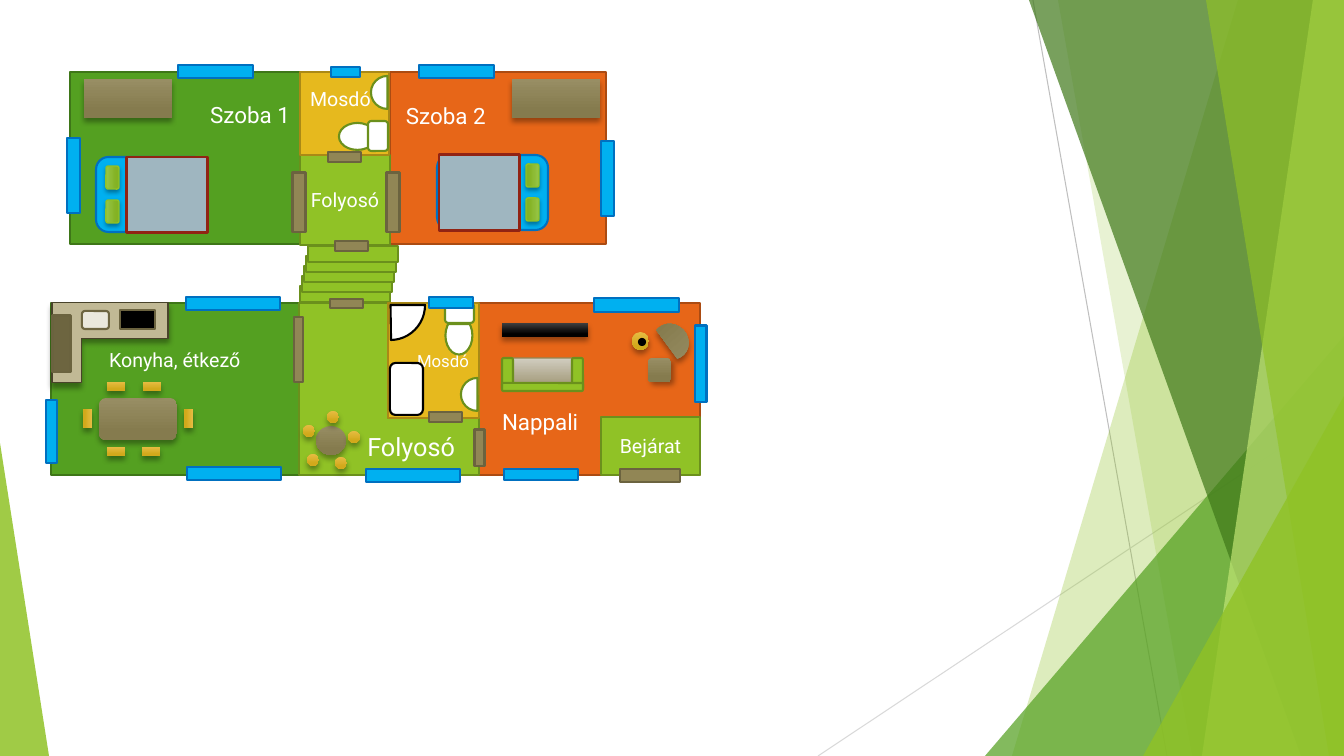
import pptx
import pptx.util
import pptx.dml.color
import pptx.enum.shapes
import pptx.enum.text
import pptx.oxml.ns
import lxml.etree

PIXEL = 12192000 / 1344
WIDTH, HEIGHT = 1344, 756
KIND = pptx.enum.shapes.MSO_SHAPE
ALIGN = pptx.enum.text.PP_ALIGN
ANCHOR = pptx.enum.text.MSO_ANCHOR
LEAF, GRASS, ORANGE, GOLD, WOOD = "90C226", "54A021", "E76618", "E6B91E", "918655"

# style: fill (colour, or top colour, bottom colour, stop), line, line width, shadow
STYLES = {
    "step": (LEAF, "6B901C", 1.5, None),
    "orange room": (ORANGE, "AB4B12", 1.5, None),
    "green room": (GRASS, "3E7618", 1.5, None),
    "hall": (LEAF, "6B901C", 1.5, None),
    "washroom": (GOLD, "AA8916", 1.5, None),
    "wood": (("988E64", "857B4E", 0.78), None, 0, (4, 3, 90)),
    "side table": (("988E64", "857B4E", 0.78), None, 0, (4, 3, 45)),
    "seat": (("E7BC43", "D2A91B", 0.78), None, 0, (4, 3, 90)),
    "screen": (("3F3F3F", "000000", 0.78), None, 0, (4, 3, 90)),
    "sofa seat": (("D1CDC0", "A19877", 0.88), WOOD, 1, None),
    "sofa frame": (LEAF, "6B901C", 1.5, None),
    "lamp hole": ("000000", "000000", 1.5, None),
    "counter": ("C1B995", "48432A", 0.75, (4, 3, 90)),
    "fridge": ("6D6540", "6B633F", 1.5, None),
    "basin": ("EAE8DC", "6D6540", 1.5, None),
    "stove": ("000000", "6B633F", 1.5, None),
    "ceramic": ("FFFFFF", "6B901C", 1.5, None),
    "bath": ("FFFFFF", "000000", 1.5, None),
    "bed": ("00B0F0", "0070C0", 1.5, None),
    "cover": ("9FB6C0", "912313", 1.5, None),
    "pillow": (("97C547", "84B223", 0.78), LEAF, 1, (3, 2, 90)),
    "door": (WOOD, "6B633F", 1.5, None),
    "window": ("00B0F0", "0070C0", 1.5, None),
}


def color(text):
    return pptx.dml.color.RGBColor.from_string(text)


def place(style, kind, left, top, width, height, turn=0, adjust=()):
    """Add one styled preset shape, measured in pixels."""
    fill, line, weight, shadow = STYLES[style]
    box = page.shapes.add_shape(kind, *(round(n * PIXEL) for n in (left, top, width, height)))
    box.rotation = turn
    box.shadow.inherit = False
    for index, value in enumerate(adjust):
        box.adjustments[index] = value
    if isinstance(fill, str):
        box.fill.solid()
        box.fill.fore_color.rgb = color(fill)
    else:
        box.fill.gradient()
        box.fill.gradient_angle = 270
        for stop, shade, position in zip(box.fill.gradient_stops, fill, (0, fill[2])):
            stop.color.rgb = color(shade)
            stop.position = position
    if line:
        box.line.color.rgb = color(line)
        box.line.width = pptx.util.Pt(weight)
    else:
        box.line.fill.background()
    if shadow:
        blur, distance, angle = shadow
        effects = box._element.spPr.find(pptx.oxml.ns.qn("a:effectLst"))
        cast = lxml.etree.SubElement(
            effects, pptx.oxml.ns.qn("a:outerShdw"), blurRad=str(blur * 12700),
            dist=str(distance * 12700), dir=str(angle * 60000), rotWithShape="0")
        black = lxml.etree.SubElement(cast, pptx.oxml.ns.qn("a:srgbClr"), val="000000")
        lxml.etree.SubElement(black, pptx.oxml.ns.qn("a:alpha"), val="35000")
    return box


deck = pptx.Presentation()
deck.slide_width = round(WIDTH * PIXEL)
deck.slide_height = round(HEIGHT * PIXEL)
page = deck.slides.add_slide(deck.slide_layouts[6])

# Thin background lines
for ends, shade in (((1033, 0, 1167, 756), "BFBFBF"), ((1344, 406, 818, 756), "D9D9D9")):
    rule = page.shapes.add_connector(
        pptx.enum.shapes.MSO_CONNECTOR.STRAIGHT, *(round(n * PIXEL) for n in ends))
    rule.line.color.rgb = color(shade)
    rule.line.width = pptx.util.Pt(0.75)
    lxml.etree.SubElement(rule._element.spPr, pptx.oxml.ns.qn("a:effectLst"))

# Translucent facets: bands (top x, bottom x) and wedges (left, top, width, apex)
for shade, opacity, outline in (
        (LEAF, 30, (1238, 1012)), (LEAF, 20, (1058, 1192)), (GRASS, 72, (985, 336, 359, 1)),
        ("3F7819", 70, (1029, 1301)), ("C0E474", 70, (1313, 1202)), (LEAF, 65, (1206, 1329)),
        (LEAF, 80, (1143, 396, 201, 1)), (LEAF, 85, (0, 443, 49, 0))):
    if len(outline) == 2:
        top_x, bottom_x = outline
        builder = page.shapes.build_freeform(top_x, 0, scale=PIXEL)
        builder.add_line_segments([(WIDTH, 0), (WIDTH, HEIGHT), (bottom_x, HEIGHT)])
        facet = builder.convert_to_shape()
    else:
        left, top, width, apex = outline
        facet = page.shapes.add_shape(
            KIND.ISOSCELES_TRIANGLE,
            *(round(n * PIXEL) for n in (left, top, width, HEIGHT - top)))
        facet.adjustments[0] = apex
    facet.shadow.inherit = False
    facet.line.fill.background()
    facet.fill.solid()
    facet.fill.fore_color.rgb = color(shade)
    tint = facet._element.spPr.find(".//" + pptx.oxml.ns.qn("a:srgbClr"))
    lxml.etree.SubElement(tint, pptx.oxml.ns.qn("a:alpha"), val=str(opacity * 1000))

# Stairs
for step in range(5):
    place("step", KIND.RECTANGLE, 300 + 2 * step, 286 - 10 * step, 90, 16)

# Rooms: style, frame, label, size, alignment, insets (left, top, right); no top means centred
for style, frame, label, size, align, (left, top, right) in (
        ("orange room", (479, 303, 221, 172), "Nappali", 16, ALIGN.LEFT, (23, 105, 10)),
        ("green room", (51, 303, 248, 172), "Konyha, étkező", 14, ALIGN.LEFT, (58, 45, 10)),
        ("hall", (299, 303, 180, 172), "Folyosó", 18, ALIGN.RIGHT, (10, None, 24)),
        ("hall", (601, 417, 99, 58), "Bejárat", 14, ALIGN.CENTER, (10, None, 10)),
        ("washroom", (388, 303, 91, 115), "Mosdó", 12, ALIGN.RIGHT, (10, None, 10)),
        ("orange room", (390, 72, 216, 172), "Szoba 2", 16, ALIGN.LEFT, (16, 30, 10)),
        ("green room", (70, 72, 230, 172), "Szoba 1", 16, ALIGN.RIGHT, (10, 29, 10)),
        ("hall", (300, 155, 90, 90), "Folyosó", 14, ALIGN.CENTER, (10, None, 10)),
        ("washroom", (300, 72, 89, 83), "Mosdó", 14, ALIGN.LEFT, (10, 15, 5))):
    if size == 18:
        room = place(style, KIND.CORNER, *frame, adjust=(0.33, 0.52))
    else:
        room = place(style, KIND.RECTANGLE, *frame)
    frame_text = room.text_frame
    frame_text.word_wrap = True
    frame_text.margin_left = round(left * PIXEL)
    frame_text.margin_right = round(right * PIXEL)
    frame_text.vertical_anchor = ANCHOR.MIDDLE
    if top is not None:
        frame_text.vertical_anchor = ANCHOR.TOP
        frame_text.margin_top = round(top * PIXEL)
    para = frame_text.paragraphs[0]
    para.text = label
    para.alignment = align
    para.font.name = "Roboto"
    para.font.size = pptx.util.Pt(size)
    para.font.color.rgb = color("FFFFFF")

# Dining table and chairs
place("wood", KIND.ROUNDED_RECTANGLE, 99, 398, 78, 42)
for left, top in ((107, 382), (143, 382), (107, 447), (142, 447)):
    place("seat", KIND.RECTANGLE, left, top, 18, 9)
for left in (78, 179):
    place("seat", KIND.RECTANGLE, left, 414, 19, 9, 90)

# Television and sofa
place("screen", KIND.RECTANGLE, 502, 323, 86, 14)
place("sofa seat", KIND.ROUNDED_RECTANGLE, 506, 358, 74, 32)
for frame in ((502, 358, 11, 32), (572, 358, 11, 32), (502, 383, 81, 8)):
    place("sofa frame", KIND.ROUNDED_RECTANGLE, *frame)

# Round table and stools
place("wood", KIND.OVAL, 316, 426, 30, 29)
for left, top in ((307, 454), (348, 431), (327, 411), (335, 457), (303, 425)):
    place("seat", KIND.OVAL, left, top, 12, 12)

# Armchair, lamp and side table
place("wood", KIND.CHORD, 654, 323, 34, 37, 136.4, (48.72, 176.36))
place("seat", KIND.OVAL, 632, 332, 17, 18)
place("lamp hole", KIND.OVAL, 639, 339, 6, 6)
place("side table", KIND.ROUNDED_RECTANGLE, 648, 358, 23, 24)

# Kitchen counter
place("counter", KIND.CORNER, 70, 285, 80, 116, 90, (0.37, 0.44))
place("fridge", KIND.RECTANGLE, 33, 335, 57, 18, 90)
place("basin", KIND.ROUNDED_RECTANGLE, 82, 311, 27, 18)
place("stove", KIND.RECTANGLE, 120, 310, 35, 19)

# Washroom fixtures: toilets, washbasins, bath and shower
for bowl, cistern, basin in (
        ((339, 123, 37, 27, 0), (363, 126, 30, 20, 90), (371, 76)),
        ((440, 322, 38, 27, 270), (445, 303, 29, 20, 0), (461, 378))):
    place("ceramic", KIND.CHORD, *bowl, (25.82, 190.36))
    place("ceramic", KIND.ROUNDED_RECTANGLE, *cistern)
    place("ceramic", KIND.CHORD, *basin, 33, 33, adjust=(53.85, 162))
place("bath", KIND.ROUNDED_RECTANGLE, 390, 363, 33, 52)
place("bath", KIND.PIE, 356, 270, 69, 70, adjust=(0, 53.47))

# Beds and cabinets
for left, top, turn, cover, pillow, cabinet in (
        (96, 157, 0, 129, 101, 84), (437, 155, 180, 441, 521, 512)):
    place("bed", KIND.ROUNDED_RECTANGLE, left, top, 111, 75, turn)
    place("cover", KIND.RECTANGLE, cover, top - 3, 76, 81, 270 - turn)
    for drop in (14, 48):
        place("pillow", KIND.ROUNDED_RECTANGLE, pillow, top + drop, 23, 13, 270 - turn)
    place("wood", KIND.RECTANGLE, cabinet, 79, 88, 39)

# Doors and windows, turned where the wall is vertical
OPENINGS = {
    ("door", 0): ((620, 469, 60, 13), (429, 412, 33, 10), (328, 152, 33, 10),
                  (330, 299, 33, 9), (335, 241, 33, 10)),
    ("door", 90): ((363, 196, 60, 13), (461, 443, 37, 10), (269, 196, 60, 13),
                   (266, 345, 65, 9)),
    ("window", 0): ((186, 297, 94, 13), (178, 65, 75, 13), (419, 65, 75, 13),
                    (331, 67, 29, 10), (594, 298, 85, 14), (187, 467, 94, 13),
                    (504, 469, 74, 11), (366, 469, 94, 13), (429, 297, 44, 11)),
    ("window", 90): ((36, 169, 75, 13), (570, 172, 75, 13), (662, 358, 77, 12),
                     (20, 426, 63, 11)),
}
for (style, turn), frames in OPENINGS.items():
    for frame in frames:
        place(style, KIND.RECTANGLE, *frame, turn)

deck.save("out.pptx")
